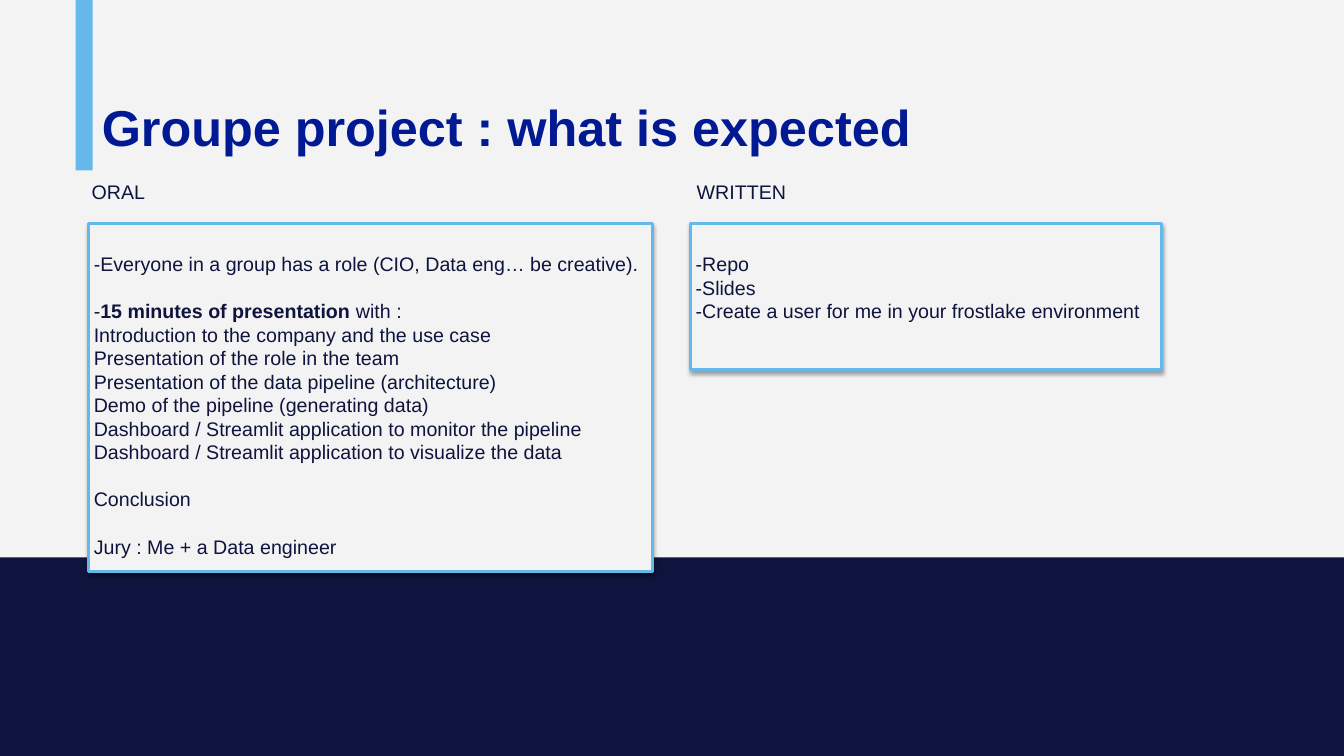
from dataclasses import dataclass

from lxml import etree
from pptx import Presentation
from pptx.dml.color import RGBColor
from pptx.enum.shapes import MSO_SHAPE
from pptx.enum.text import MSO_ANCHOR, PP_ALIGN
from pptx.oxml.ns import qn
from pptx.util import Inches, Pt

RECTANGLE = MSO_SHAPE.RECTANGLE
TOP = MSO_ANCHOR.TOP
LEFT = PP_ALIGN.LEFT


@dataclass(frozen=True)
class Theme:
    paper: RGBColor = RGBColor(0xF3, 0xF3, 0xF3)
    navy: RGBColor = RGBColor(0x0E, 0x14, 0x3D)
    sky: RGBColor = RGBColor(0x65, 0xB9, 0xEA)
    title: RGBColor = RGBColor(0x01, 0x19, 0x93)
    shadow: str = "000000"
    font: str = "Arial"
    title_size: Pt = Pt(36)
    body_size: Pt = Pt(14)
    line_height: Pt = Pt(16.8)


theme = Theme()


def add_block(slide, bounds, color):
    block = slide.shapes.add_shape(RECTANGLE, *map(Inches, bounds))
    block.shadow.inherit = False
    block.fill.solid()
    block.fill.fore_color.rgb = color
    block.line.fill.background()
    return block


def write(frame, paragraphs, size, color, spacing, inset, top_inset):
    frame.margin_left = frame.margin_right = frame.margin_bottom = Inches(inset)
    frame.margin_top = Inches(top_inset)
    frame.vertical_anchor = TOP
    for index, (gap, runs) in enumerate(paragraphs):
        paragraph = frame.paragraphs[0] if index == 0 else frame.add_paragraph()
        paragraph.alignment = LEFT
        paragraph.line_spacing = spacing
        if gap:
            paragraph.space_before = theme.line_height
        for text, bold in runs:
            run = paragraph.add_run()
            run.text = text
            run.font.name = theme.font
            run.font.size = size
            run.font.bold = bold
            run.font.color.rgb = color


prs = Presentation()
prs.slide_width = Inches(13.33)
prs.slide_height = Inches(7.5)
slide = prs.slides.add_slide(prs.slide_layouts[6])
slide.background.fill.solid()
slide.background.fill.fore_color.rgb = theme.paper

add_block(slide, (0, 5.53, 13.33, 1.97), theme.navy)
add_block(slide, (0.75, 0, 0.17, 1.69), theme.sky)

title = slide.shapes.add_textbox(Inches(0.88), Inches(0.76), Inches(10.79), Inches(0.9))
title.text_frame.word_wrap = True
write(title.text_frame, [(False, [("Groupe project : what is expected", True)])],
      theme.title_size, theme.title, 1.1, 0.13, 0.13)

oral = [
    (False, [("-Everyone in a group has a role (CIO, Data eng… be creative).", False)]),
    (True, [("-", False), ("15 minutes of presentation", True), (" with :", False)]),
    (False, [("Introduction to the company and the use case", False)]),
    (False, [("Presentation of the role in the team", False)]),
    (False, [("Presentation of the data pipeline (architecture)", False)]),
    (False, [("Demo of the pipeline (generating data)", False)]),
    (False, [("Dashboard / Streamlit application to monitor the pipeline", False)]),
    (False, [("Dashboard / Streamlit application to visualize the data", False)]),
    (True, [("Conclusion", False)]),
    (True, [("Jury : Me + a Data engineer", False)]),
]
written = [
    (False, [("-Repo", False)]),
    (False, [("-Slides", False)]),
    (False, [("-Create a user for me in your frostlake environment", False)]),
]

columns = [
    ("ORAL", (0.86, 1.74, 0.64, 0.32), oral, (0.88, 2.22, 5.59, 3.45)),
    ("WRITTEN", (6.86, 1.74, 1.05, 0.32), written, (6.85, 2.22, 4.67, 1.45)),
]
for heading, heading_bounds, expectations, card_bounds in columns:
    card = add_block(slide, card_bounds, theme.paper)
    card.line.color.rgb = theme.sky
    card.line.width = Pt(2)
    effects = card._element.spPr.find(qn("a:effectLst"))
    shadow = etree.SubElement(effects, qn("a:outerShdw"), blurRad=str(Pt(3)),
                              dist=str(Pt(1.8)), dir="5400000", rotWithShape="0")
    shade = etree.SubElement(shadow, qn("a:srgbClr"), val=theme.shadow)
    etree.SubElement(shade, qn("a:alpha"), val="35000")
    card.text_frame.word_wrap = True
    write(card.text_frame, expectations, theme.body_size, theme.navy,
          theme.line_height, 0.05, 0.28)

    label = slide.shapes.add_textbox(*map(Inches, heading_bounds))
    label.text_frame.word_wrap = False
    write(label.text_frame, [(False, [(heading, False)])], theme.body_size,
          theme.navy, theme.line_height, 0.05, 0.05)

prs.save("out.pptx")
